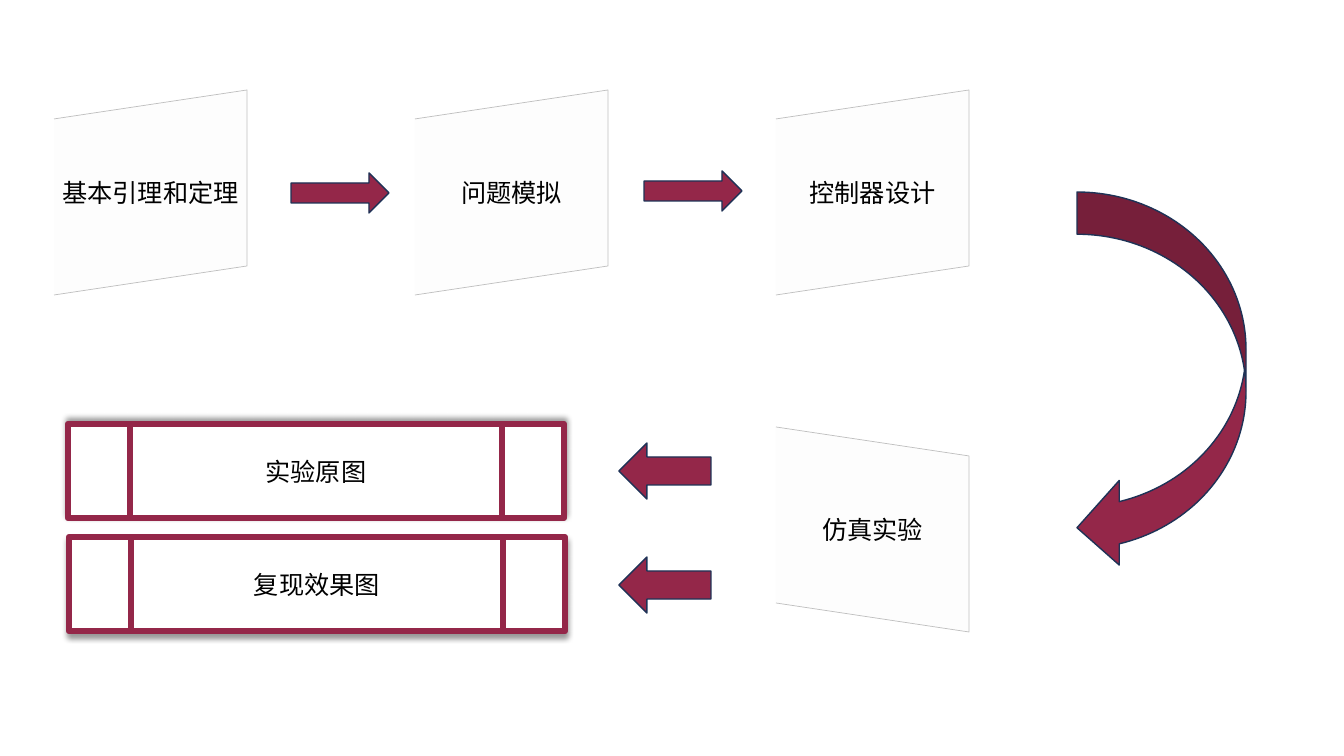
from dataclasses import dataclass
from lxml.etree import SubElement
from pptx import Presentation
from pptx.dml.color import RGBColor
from pptx.enum.shapes import MSO_SHAPE as Preset
from pptx.enum.text import MSO_ANCHOR as Anchor, PP_ALIGN as Align
from pptx.oxml.ns import qn
from pptx.util import Pt

PX = 914400 / 100.8  # EMU per px


@dataclass(frozen=True)
class Theme:
    accent: str = "942749"
    outline: str = "1E3256"
    panel: str = "FDFDFD"
    edge: str = "BFBFBF"
    white: str = "FFFFFF"
    black: str = "000000"
    font: str = "Noto Sans CJK SC"
    label_size: int = 18


theme = Theme()


def paint(shape, fill, line, width):
    shape.shadow.inherit = False
    shape.fill.solid()
    shape.fill.fore_color.rgb = RGBColor.from_string(fill)
    shape.line.color.rgb = RGBColor.from_string(line)
    shape.line.width = Pt(width)


def write_label(shape, text):
    frame = shape.text_frame
    frame.word_wrap = True
    frame.vertical_anchor = Anchor.MIDDLE
    frame.margin_left = frame.margin_right = 0
    paragraph = frame.paragraphs[0]
    paragraph.alignment = Align.CENTER
    run = paragraph.add_run()
    run.text = text
    run.font.name = theme.font
    run.font.size = Pt(theme.label_size)
    run.font.color.rgb = RGBColor.from_string(theme.black)
    SubElement(run.font._element, qn("a:ea"), typeface=theme.font)


deck = Presentation()
deck.slide_width, deck.slide_height = round(1344 * PX), round(756 * PX)
slide = deck.slides.add_slide(deck.slide_layouts[6])
shapes = slide.shapes

# Steps: slanted panels, open on the left
STEP_LEFT, STEP_PITCH, STEP_WIDTH = 54, 361, 193
STEP_HEIGHT, SLANT = 176, 29
steps = [
    ("基本引理和定理", 0, 90, True),
    ("问题模拟", 1, 90, True),
    ("控制器设计", 2, 90, True),
    ("仿真实验", 2, 427, False),
]
for text, column, top, rising in steps:
    left = STEP_LEFT + column * STEP_PITCH
    right = left + STEP_WIDTH
    left_top, right_top = (top + SLANT, top) if rising else (top, top + SLANT)
    outline = shapes.build_freeform(left, left_top, scale=PX)
    outline.add_line_segments(
        [(right, right_top), (right, right_top + STEP_HEIGHT), (left, left_top + STEP_HEIGHT)],
        close=False,
    )
    step = outline.convert_to_shape()
    paint(step, theme.panel, theme.edge, 0.5)
    write_label(step, text)

# Arrows between the steps and on to the results
arrows = [
    (Preset.RIGHT_ARROW, 291, 173, 98, 40),
    (Preset.RIGHT_ARROW, 644, 171, 98, 40),
    (Preset.CURVED_LEFT_ARROW, 1077, 192, 169, 378),
    (Preset.LEFT_ARROW, 619, 443, 92, 56),
    (Preset.LEFT_ARROW, 619, 557, 92, 56),
]
for preset, *box in arrows:
    arrow = shapes.add_shape(preset, *(round(v * PX) for v in box))
    paint(arrow, theme.accent, theme.outline, 1)

# Results: framed boxes, shadows cast outwards from the pair
results = [("实验原图", 68, 424, 270), ("复现效果图", 69, 537, 90)]
for text, left, top, shadow_angle in results:
    result = shapes.add_shape(
        Preset.FLOWCHART_PREDEFINED_PROCESS, *(round(v * PX) for v in (left, top, 496, 94))
    )
    paint(result, theme.white, theme.accent, 4.5)
    write_label(result, text)
    effects = result._element.spPr.find(qn("a:effectLst"))
    shadow = SubElement(
        effects, qn("a:outerShdw"), blurRad=str(Pt(4)), dist=str(Pt(3)),
        dir=str(shadow_angle * 60000), rotWithShape="0",
    )
    tint = SubElement(shadow, qn("a:srgbClr"), val=theme.black)
    SubElement(tint, qn("a:alpha"), val="40000")

deck.save("out.pptx")
